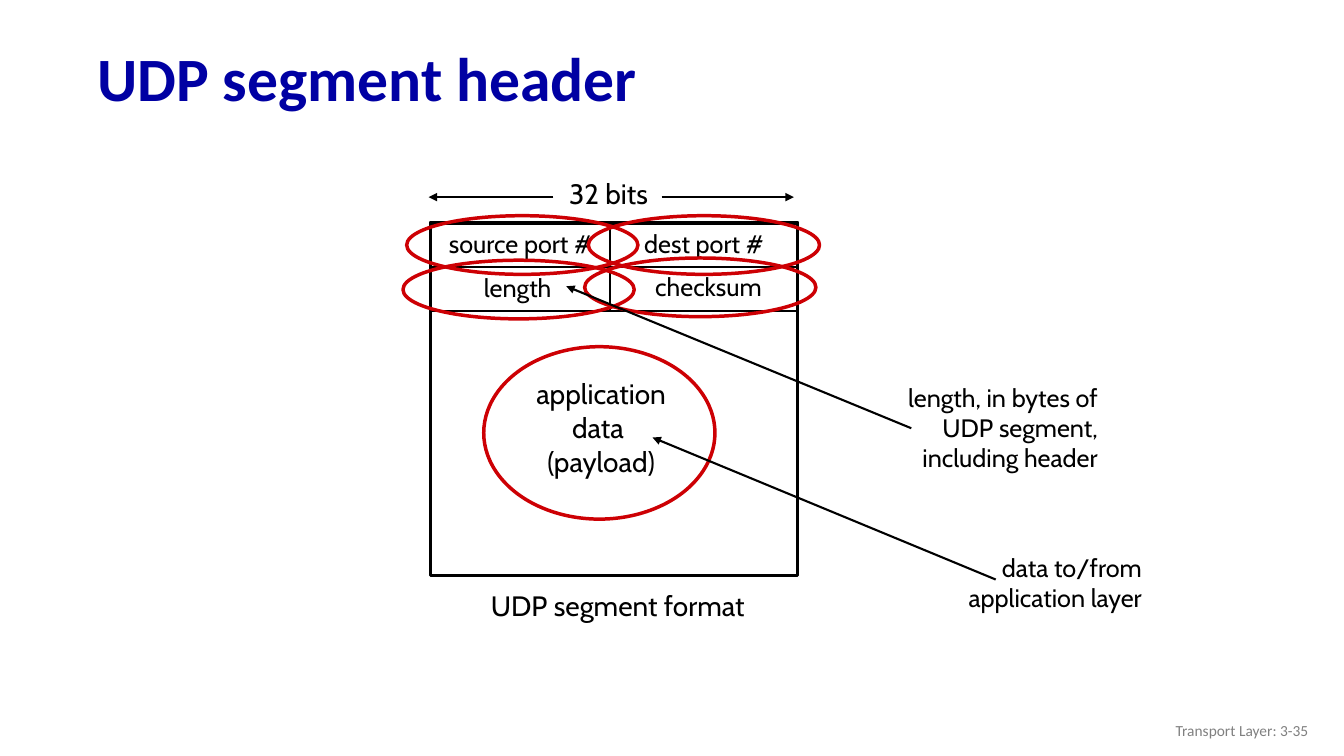
from lxml import etree
from pptx import Presentation
from pptx.dml.color import RGBColor
from pptx.enum.shapes import MSO_CONNECTOR, MSO_SHAPE
from pptx.enum.text import MSO_ANCHOR, PP_ALIGN
from pptx.oxml.ns import qn
from pptx.util import Inches, Pt

LEFT, CENTER, RIGHT = PP_ALIGN.LEFT, PP_ALIGN.CENTER, PP_ALIGN.RIGHT
TOP, MIDDLE = MSO_ANCHOR.TOP, MSO_ANCHOR.MIDDLE
RECTANGLE, ELLIPSE = MSO_SHAPE.RECTANGLE, MSO_SHAPE.OVAL
STRAIGHT = MSO_CONNECTOR.STRAIGHT

BLACK = RGBColor(0x00, 0x00, 0x00)
WHITE = RGBColor(0xFF, 0xFF, 0xFF)
NAVY = RGBColor(0x00, 0x00, 0xA3)
RED = RGBColor(0xCD, 0x00, 0x04)
GRAY = RGBColor(0x80, 0x80, 0x80)

SLIDE_WIDTH, SLIDE_HEIGHT = 13.33, 7.5
# The segment is a grid of two 16-bit columns and eight rows
SEGMENT_LEFT, SEGMENT_TOP = 4.27, 2.21
COLUMN, ROW = 1.82, 0.4375
COLUMNS, ROWS = 2, 8
DIVIDER = 0.98
RING_WIDTH, RING_HEIGHT = 1.26, 1.33

# Text, text box (column, row, columns), ring corner (column, row)
HEADER_FIELDS = [
    ("source port #", (0.02, 0.02, 0.94), (-0.13, -0.16)),
    ("dest port #", (1.09, 0.02, 0.80), (0.86, -0.16)),
    ("length", (0.23, 1.01, 0.49), (-0.15, 0.85)),
    ("checksum", (1.16, 0.98, 0.71), (0.84, 0.80)),
]
# Text, text box (column, row, rows), arrow start and end
CALLOUTS = [
    ("length, in bytes of UDP segment, including header",
     (2.24, 3.50, 2.29), (2.62, 4.66), (0.74, 1.44)),
    ("data to/from application layer",
     (2.48, 7.36, 1.62), (3.08, 8.09), (1.21, 4.87)),
]
CALLOUT_WIDTH = 1.45


def grid_point(column, row):
    return Inches(SEGMENT_LEFT + column * COLUMN), Inches(SEGMENT_TOP + row * ROW)


def grid_box(column, row, columns, rows):
    return (*grid_point(column, row), Inches(columns * COLUMN), Inches(rows * ROW))


def share_box(left, top, width, height):
    return (Inches(left * SLIDE_WIDTH), Inches(top * SLIDE_HEIGHT),
            Inches(width * SLIDE_WIDTH), Inches(height * SLIDE_HEIGHT))


def add_text(slide, box, lines, size, align=CENTER, font="Cabin", color=BLACK,
             bold=False, wrap=False, anchor=TOP, spacing=1.0):
    frame = slide.shapes.add_textbox(*box).text_frame
    frame.word_wrap = wrap
    frame.vertical_anchor = anchor
    for index, line in enumerate(lines):
        paragraph = frame.add_paragraph() if index else frame.paragraphs[0]
        paragraph.alignment = align
        paragraph.line_spacing = spacing
        run = paragraph.add_run()
        run.text = line
        run.font.name = font
        run.font.size = Pt(size)
        run.font.bold = bold
        run.font.color.rgb = color


def add_outline(slide, kind, box, color, width, fill=None):
    shape = slide.shapes.add_shape(kind, *box)
    shape.shadow.inherit = False
    if fill is None:
        shape.fill.background()
    else:
        shape.fill.solid()
        shape.fill.fore_color.rgb = fill
    shape.line.color.rgb = color
    shape.line.width = Pt(width)


def add_ring(slide, column, row, rows=RING_HEIGHT):
    add_outline(slide, ELLIPSE, grid_box(column, row, RING_WIDTH, rows), RED, 2.5)


def add_line(slide, start, end, arrow=False):
    connector = slide.shapes.add_connector(STRAIGHT, *grid_point(*start), *grid_point(*end))
    connector.line.color.rgb = BLACK
    connector.line.width = Pt(1.5)
    if arrow:
        line = connector.line._get_or_add_ln()
        etree.SubElement(line, qn("a:tailEnd"), type="triangle")
    etree.SubElement(connector._element.spPr, qn("a:effectLst"))


def add_segment(slide):
    add_outline(slide, RECTANGLE, grid_box(0, 0, COLUMNS, ROWS), BLACK, 2.75, WHITE)
    for row in (1, 2):
        add_line(slide, (0, row), (COLUMNS, row))
        add_line(slide, (DIVIDER, row), (DIVIDER, row - 1))
    # Width marker above, caption below
    add_text(slide, grid_box(0.69, -1.17, 0.56, 0.98), ["32 bits"], 20)
    add_line(slide, (1.26, -0.58), (1.98, -0.58), arrow=True)
    add_line(slide, (0.67, -0.58), (-0.01, -0.58), arrow=True)
    add_text(slide, grid_box(0.26, 8.18, 1.52, 0.98), ["UDP segment format"], 20)


def add_fields(slide):
    for text, (column, row, columns), _ in HEADER_FIELDS:
        add_text(slide, grid_box(column, row, columns, 0.92), [text], 18)
    add_text(slide, grid_box(0.51, 3.38, 0.84, 2.51),
             ["application", "data ", "(payload)"], 20)
    for _, _, corner in HEADER_FIELDS:
        add_ring(slide, *corner)
    add_ring(slide, 0.29, 2.81, rows=3.91)


def add_callouts(slide):
    for text, (column, row, rows), start, end in CALLOUTS:
        add_text(slide, grid_box(column, row, CALLOUT_WIDTH, rows), [text], 18,
                 align=RIGHT, wrap=True)
        add_line(slide, start, end, arrow=True)


def main():
    presentation = Presentation()
    presentation.slide_width = Inches(SLIDE_WIDTH)
    presentation.slide_height = Inches(SLIDE_HEIGHT)
    slide = presentation.slides.add_slide(presentation.slide_layouts[6])

    # Title
    add_text(slide, share_box(0.065, 0.043, 0.91, 0.13), ["UDP segment header"], 44,
             align=LEFT, font="Calibri", color=NAVY, bold=True, wrap=True,
             anchor=MIDDLE, spacing=0.9)
    # Segment diagram
    add_segment(slide)
    add_fields(slide)
    add_callouts(slide)
    # Footer
    add_text(slide, share_box(0.756, 0.94, 0.225, 0.053), ["Transport Layer: 3-35"], 11,
             align=RIGHT, font="Calibri", color=GRAY, wrap=True, anchor=MIDDLE)

    presentation.save("out.pptx")


if __name__ == "__main__":
    main()
